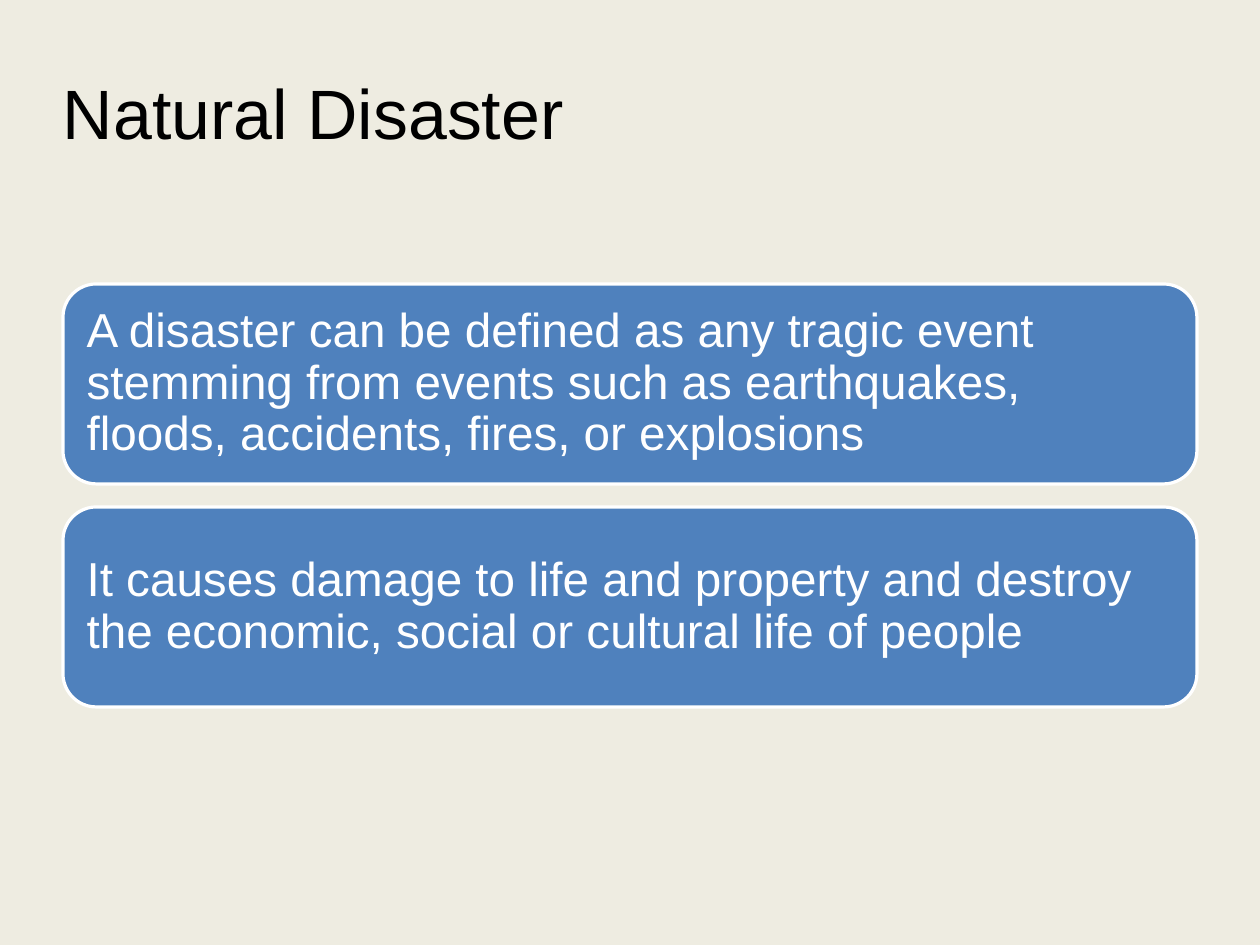
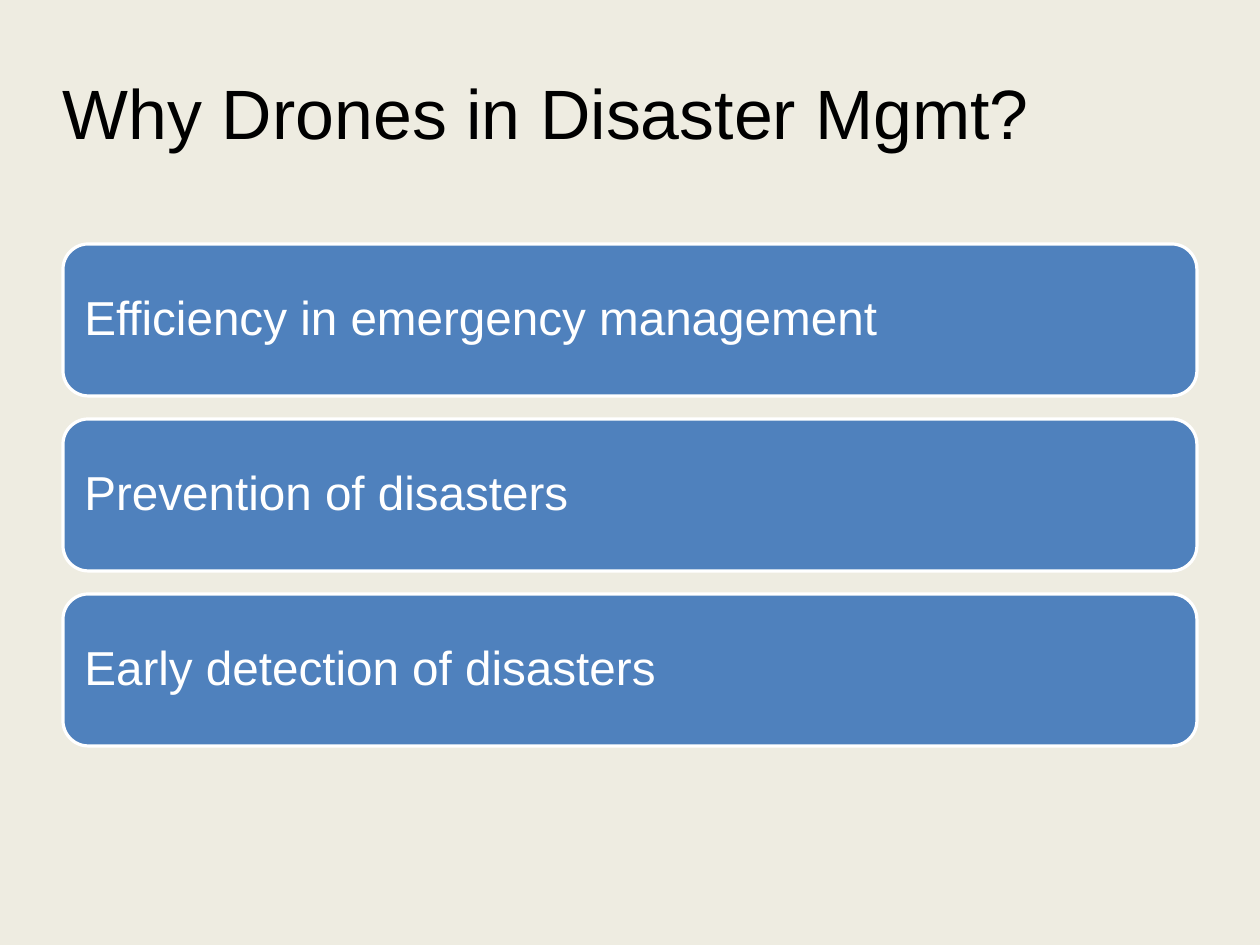
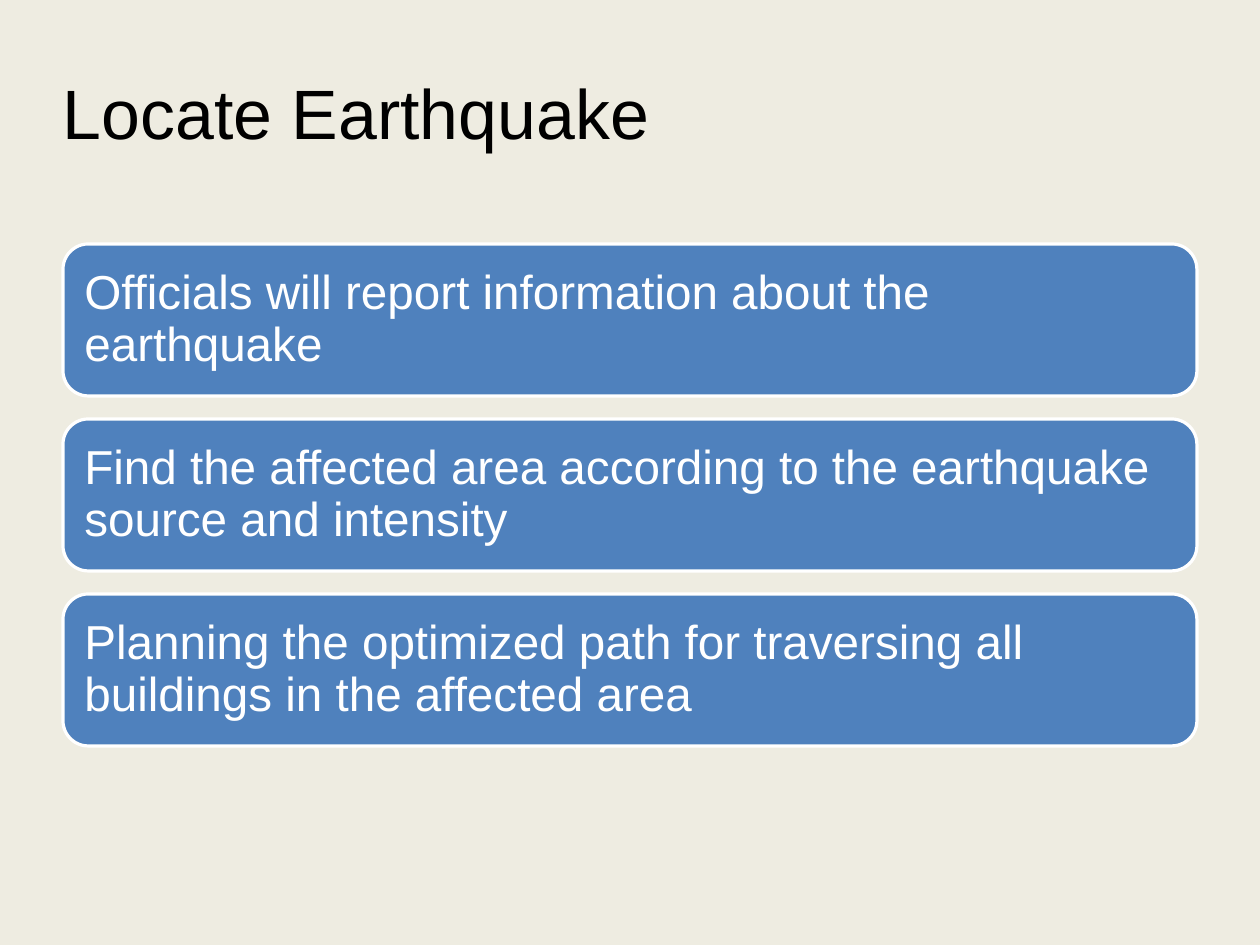
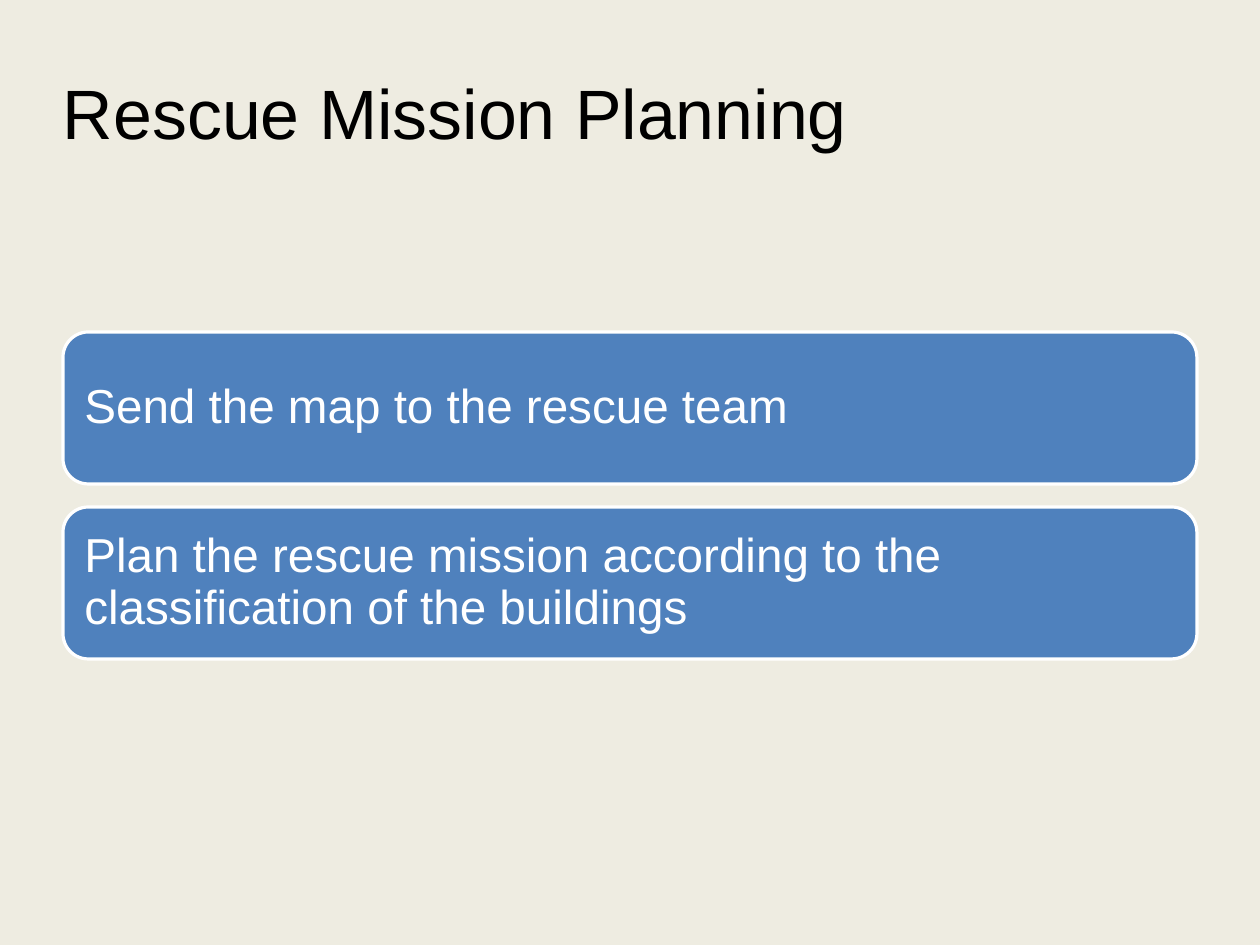
"""Build four slides on drones in disaster management."""
from pptx import Presentation
from pptx.dml.color import RGBColor
from pptx.enum.shapes import MSO_SHAPE
from pptx.enum.text import MSO_ANCHOR, MSO_AUTO_SIZE, PP_ALIGN
from pptx.util import Pt

ROUNDED = MSO_SHAPE.ROUNDED_RECTANGLE
MIDDLE = MSO_ANCHOR.MIDDLE
NO_FIT = MSO_AUTO_SIZE.NONE
LEFT_ALIGNED = PP_ALIGN.LEFT

EMU_PER_PX = 8000
COLORS = {"paper": "EEECE1", "panel": "4F81BD", "white": "FFFFFF", "ink": "000000"}
FONT = "Arial"
TITLE_ONLY = 5

SLIDE_WIDTH, SLIDE_HEIGHT = 1260, 945
MARGIN = 63
CONTENT_WIDTH = SLIDE_WIDTH - 2 * MARGIN
TITLE_TOP, TITLE_HEIGHT = 38, 158
STACK_MIDDLE, PANEL_GAP = 495, 23

SLIDES = [
    ("Natural Disaster", 200, [
        "A disaster can be defined as any tragic event stemming from events "
        "such as earthquakes, floods, accidents, fires, or explosions",
        "It causes damage to life and property and destroy the economic, "
        "social or cultural life of people",
    ]),
    ("Why Drones in Disaster Mgmt?", 152, [
        "Efficiency in emergency management",
        "Prevention of disasters",
        "Early detection of disasters",
    ]),
    ("Locate Earthquake", 152, [
        "Officials will report information about the earthquake",
        "Find the affected area according to the earthquake source and intensity",
        "Planning the optimized path for traversing all buildings in the affected area",
    ]),
    ("Rescue Mission Planning", 152, [
        "Send the map to the rescue team",
        "Plan the rescue mission according to the classification of the buildings",
    ]),
]


def px(length):
    """Turn pixels into EMU."""
    return length * EMU_PER_PX


def rgb(name):
    """Look up a named colour."""
    return RGBColor.from_string(COLORS[name])


def write_text(shape, text, *, size, color, inset=0):
    """Fill a shape with one left-aligned, vertically centred paragraph."""
    frame = shape.text_frame
    frame.word_wrap = True
    frame.auto_size = NO_FIT
    frame.vertical_anchor = MIDDLE
    frame.margin_left = frame.margin_right = px(inset)
    frame.margin_top = frame.margin_bottom = px(inset)
    para = frame.paragraphs[0]
    para.alignment = LEFT_ALIGNED
    para.line_spacing = 0.9
    span = para.add_run()
    span.text = text
    span.font.name = FONT
    span.font.size = Pt(size)
    span.font.color.rgb = rgb(color)


class DeckBuilder:
    """Hold the deck, its style and the current slide."""

    def __init__(self):
        """Open a deck with the shared size and background."""
        self.deck = Presentation()
        self.deck.slide_width = px(SLIDE_WIDTH)
        self.deck.slide_height = px(SLIDE_HEIGHT)
        background = self.deck.slide_master.background.fill
        background.solid()
        background.fore_color.rgb = rgb("paper")
        self.page = None

    def add_page(self, title):
        """Start a slide with its title."""
        self.page = self.deck.slides.add_slide(self.deck.slide_layouts[TITLE_ONLY])
        box = self.page.shapes.title
        box.left, box.top = px(MARGIN), px(TITLE_TOP)
        box.width, box.height = px(CONTENT_WIDTH), px(TITLE_HEIGHT)
        write_text(box, title, size=44, color="ink")

    def add_panel(self, text, top, height):
        """Draw one rounded panel with its statement."""
        panel = self.page.shapes.add_shape(
            ROUNDED, px(MARGIN), px(top), px(CONTENT_WIDTH), px(height))
        panel.shadow.inherit = False
        panel.fill.solid()
        panel.fill.fore_color.rgb = rgb("panel")
        panel.line.color.rgb = rgb("white")
        panel.line.width = Pt(2)
        write_text(panel, text, size=30, color="white", inset=14)

    def add_stack(self, statements, height):
        """Stack equal panels around the middle of the content area."""
        pitch = height + PANEL_GAP
        first_top = STACK_MIDDLE - (len(statements) * pitch - PANEL_GAP) // 2
        for index, statement in enumerate(statements):
            self.add_panel(statement, first_top + index * pitch, height)


def main():
    """Build and save the deck."""
    builder = DeckBuilder()
    for title, panel_height, statements in SLIDES:
        builder.add_page(title)
        builder.add_stack(statements, panel_height)
    builder.deck.save("out.pptx")


if __name__ == "__main__":
    main()
